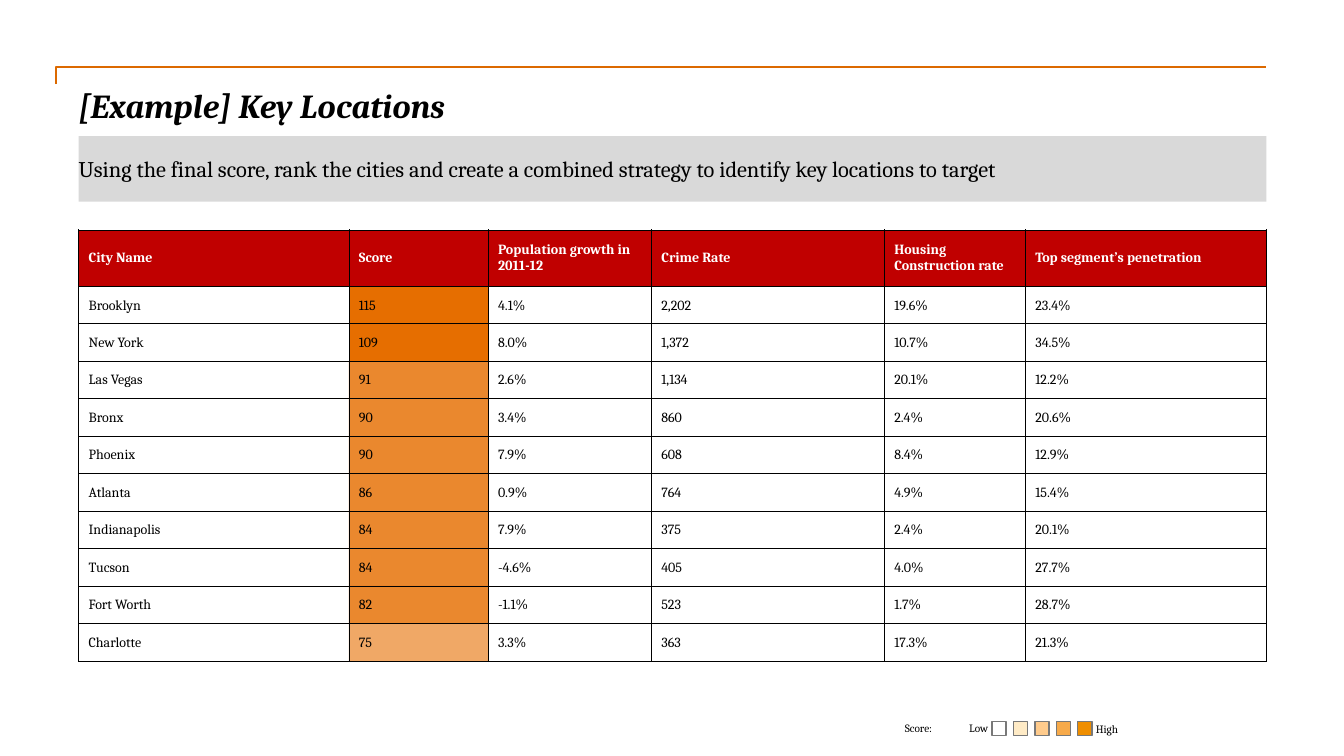
from lxml import etree
from pptx import Presentation
from pptx.dml.color import RGBColor
from pptx.enum import shapes, text
from pptx.oxml.ns import qn
from pptx.util import Inches, Pt

# Content
title = "[Example] Key Locations"
lead = ("Using the final score, rank the cities and create a combined "
        "strategy to identify key locations to target")
heads = ["City Name", "Score", "Population growth in 2011-12", "Crime Rate",
         "Housing Construction rate", "Top segment’s penetration"]
cities = [
    ("Brooklyn", 115, "4.1%", "2,202", "19.6%", "23.4%"),
    ("New York", 109, "8.0%", "1,372", "10.7%", "34.5%"),
    ("Las Vegas", 91, "2.6%", "1,134", "20.1%", "12.2%"),
    ("Bronx", 90, "3.4%", "860", "2.4%", "20.6%"),
    ("Phoenix", 90, "7.9%", "608", "8.4%", "12.9%"),
    ("Atlanta", 86, "0.9%", "764", "4.9%", "15.4%"),
    ("Indianapolis", 84, "7.9%", "375", "2.4%", "20.1%"),
    ("Tucson", 84, "-4.6%", "405", "4.0%", "27.7%"),
    ("Fort Worth", 82, "-1.1%", "523", "1.7%", "28.7%"),
    ("Charlotte", 75, "3.3%", "363", "17.3%", "21.3%"),
]
widths = [2.68, 1.38, 1.62, 2.31, 1.4, 2.39]
scale = ["FFFFFF", "FFEBC6", "FFCB8C", "F7AA4A", "EF8E00"]
left, wide = 0.78, 11.78
mid, top = text.MSO_ANCHOR.MIDDLE, text.MSO_ANCHOR.TOP
align = text.PP_ALIGN

deck = Presentation()
deck.slide_width, deck.slide_height = Inches(13.33), Inches(7.5)
slide = deck.slides.add_slide(deck.slide_layouts[6])


def paint(fill, color, alpha=100):
    fill.solid()
    fill.fore_color.rgb = RGBColor.from_string(color)
    if alpha < 100:
        tone = fill._xPr.find(".//" + qn("a:srgbClr"))
        etree.SubElement(tone, qn("a:alpha"), val=str(alpha * 1000))


def style(para, size, color="000000", bold=False, italic=False):
    for run in para.runs:
        font = run.font
        font.name, font.size = "Cambria", Pt(size)
        font.bold, font.italic = bold, italic
        font.color.rgb = RGBColor.from_string(color)


def write(shape, words, size, anchor=mid, side=0, place=align.LEFT, **look):
    frame = shape.text_frame
    frame.text = words
    frame.word_wrap, frame.vertical_anchor = True, anchor
    frame.margin_left = frame.margin_right = Inches(side)
    frame.margin_top = frame.margin_bottom = 0
    para = frame.paragraphs[0]
    para.alignment = place
    style(para, size, **look)
    return para


def label(x, y, w, h, *args, **look):
    box = slide.shapes.add_textbox(*map(Inches, (x, y, w, h)))
    write(box, *args, **look)


def block(x, y, w, h, color):
    rect = slide.shapes.add_shape(shapes.MSO_SHAPE.RECTANGLE,
                                  *map(Inches, (x, y, w, h)))
    rect.shadow.inherit = False
    paint(rect.fill, color)
    rect.line.fill.background()
    return rect


def border(cell):
    props = cell._tc.get_or_add_tcPr()
    for spot, side in enumerate(("lnL", "lnR", "lnT", "lnB")):
        edge = etree.Element(qn("a:" + side), w=str(Pt(0.5)))
        solid = etree.SubElement(edge, qn("a:solidFill"))
        etree.SubElement(solid, qn("a:srgbClr"), val="000000")
        props.insert(spot, edge)


# Corner rule: a one-bend connector turned a quarter
rule = slide.shapes.add_connector(
    shapes.MSO_CONNECTOR.ELBOW,
    *map(Inches, (6.64, 6.75, 6.47, -5.25)))
rule.line.color.rgb = RGBColor.from_string("DC6900")
rule.line.width = Pt(1)
props = rule._element.spPr
etree.SubElement(props, qn("a:effectLst"))
props.find(qn("a:prstGeom")).set("prst", "bentConnector2")
props.find(qn("a:xfrm")).set("rot", str(90 * 60000))

# Title and lead
label(left, 0.84, wide, 0.48, title, 24, top, bold=True, italic=True)
para = write(block(left, 1.35, wide, 0.65, "D9D9D9"), lead, 16)
para.space_before, para.space_after = Pt(6), Pt(9)

# City table
high, head = 4.28, 0.56
table = slide.shapes.add_table(
    len(cities) + 1, len(heads),
    *map(Inches, (left, 2.28, wide, high))).table
for col, width in zip(table.columns, widths):
    col.width = Inches(width)
for r, values in enumerate([heads] + cities):
    table.rows[r].height = Inches((high - head) / len(cities) if r else head)
    for c, value in enumerate(values):
        cell = table.cell(r, c)
        cell.text = str(value)
        cell.vertical_anchor = mid
        cell.margin_top = Inches(0.01 if r else 0)
        cell.margin_bottom = 0
        style(cell.text_frame.paragraphs[0], 10,
              "000000" if r else "FFFFFF", bold=r == 0)
        if r == 0:
            paint(cell.fill, "C00000")
        elif heads[c] == "Score":
            paint(cell.fill, "E66E00",
                  100 if value > 100 else 82 if value > 80 else 60)
        else:
            cell.fill.background()
        border(cell)

# Score legend
for i, color in enumerate(scale):
    key = block(9.84 + i * 0.2125, 7.16, 0.14, 0.14, color)
    key.line.color.rgb = RGBColor.from_string("787878")
    key.line.width = Pt(1)
label(9.42, 7.06, 0.48, 0.33, "Low", 8, side=0.1, place=align.RIGHT)
label(10.77, 7.06, 0.49, 0.35, "High", 8, side=0.1)
label(8.69, 7.16, 0.84, 0.13, "Score:", 8, top, place=align.CENTER)

deck.save("out.pptx")
